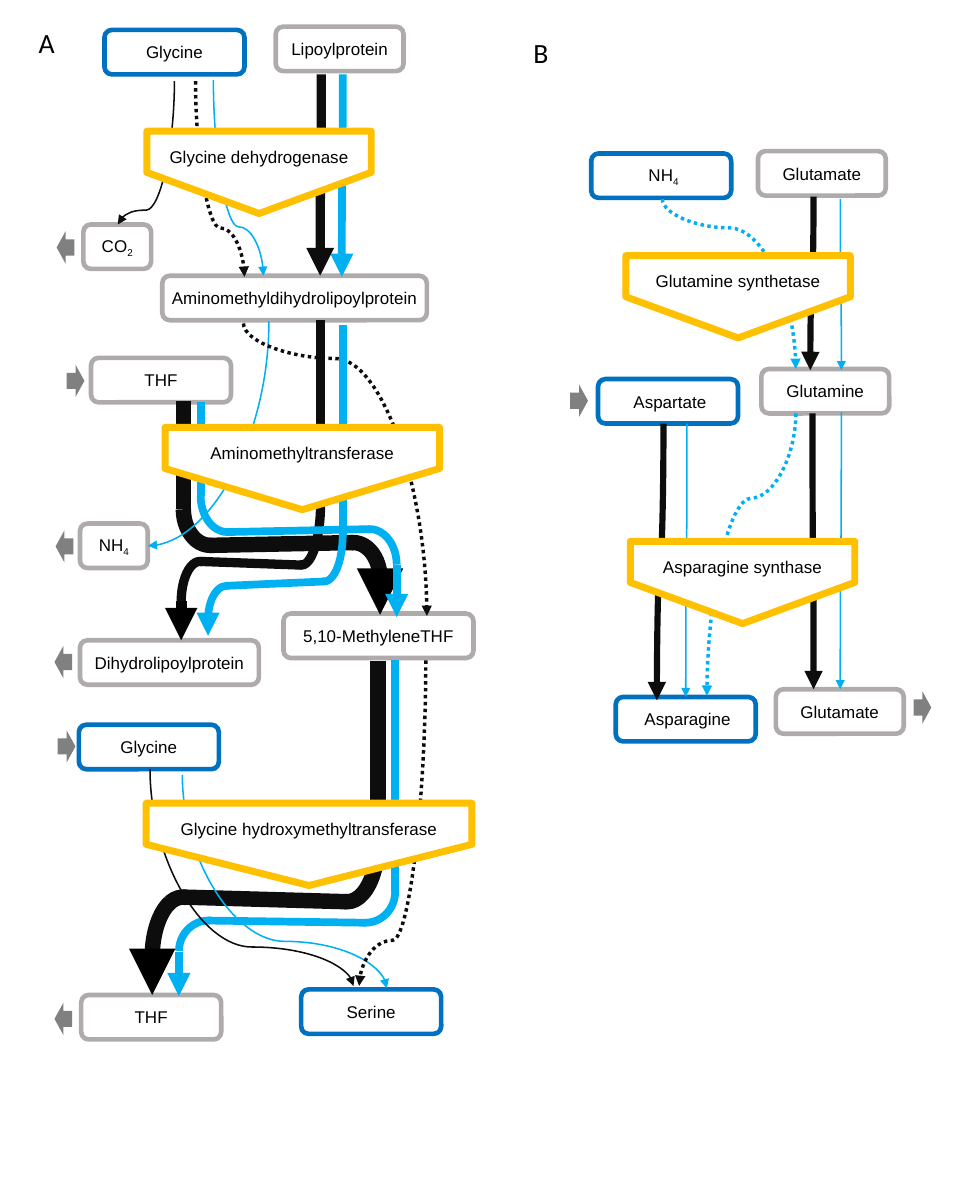
"""Draw the glycine cleavage (A) and asparagine synthesis (B) pathways."""
from lxml import etree
from pptx import Presentation
from pptx.dml.color import RGBColor
from pptx.enum.dml import MSO_LINE
from pptx.enum.shapes import MSO_CONNECTOR, MSO_SHAPE
from pptx.enum.text import MSO_ANCHOR, PP_ALIGN
from pptx.oxml.ns import qn
from pptx.util import Pt

STRAIGHT, CURVE = MSO_CONNECTOR.STRAIGHT, MSO_CONNECTOR.CURVE
ROUNDED, PLATE = MSO_SHAPE.ROUNDED_RECTANGLE, MSO_SHAPE.PENTAGON
BLOCK_ARROW, ARC = MSO_SHAPE.RIGHT_ARROW, MSO_SHAPE.ARC
DOTTED = MSO_LINE.ROUND_DOT
MIDDLE, TOP = MSO_ANCHOR.MIDDLE, MSO_ANCHOR.TOP
CENTER, LEFT = PP_ALIGN.CENTER, PP_ALIGN.LEFT

COLORS = {"white": "FFFFFF", "black": "000000", "ink": "0D0D0D", "cyan": "00B0F0",
          "blue": "0070C0", "silver": "AFABAB", "gold": "FFC000", "gray": "808080"}
BOX_HEIGHT, PLATE_HEIGHT = 28.8, 53.3
LOWER_LEFT, UPPER_RIGHT = (52.61, 108), (159.87, 215.16)


def write(frame, text, size=11, font="Arial", color="black", align=CENTER, anchor=TOP, inset=None):
    """Write text into a frame; what follows an underscore is a subscript."""
    frame.word_wrap = True
    frame.vertical_anchor = anchor
    if inset is not None:
        frame.margin_left = frame.margin_right = Pt(inset)
        frame.margin_top = frame.margin_bottom = Pt(inset)
    paragraph = frame.paragraphs[0]
    paragraph.alignment = align
    for level, part in enumerate(text.split("_")):
        run = paragraph.add_run()
        run.text = part
        run.font.size, run.font.name = Pt(size), font
        run.font.color.rgb = RGBColor.from_string(COLORS[color])
        if level:
            run.font._element.set("baseline", "-25000")


class Pathway:
    """Hold the slide and draw the parts of a metabolic pathway on it."""

    def __init__(self, slide):
        self.slide = slide

    def shape(self, kind, x, y, width, height, fill=None, line=None, weight=3.0):
        shape = self.slide.shapes.add_shape(kind, Pt(x), Pt(y), Pt(width), Pt(height))
        shape.shadow.inherit = False
        if fill:
            shape.fill.solid()
            shape.fill.fore_color.rgb = RGBColor.from_string(COLORS[fill])
        else:
            shape.fill.background()
        if line:
            shape.line.color.rgb = RGBColor.from_string(COLORS[line])
            shape.line.width = Pt(weight)
        else:
            shape.line.fill.background()
        return shape

    def label(self, text, x, y, width, height, **style):
        box = self.slide.shapes.add_textbox(Pt(x), Pt(y), Pt(width), Pt(height))
        write(box.text_frame, text, **style)

    def metabolite(self, text, x, y, width=90.7, line="silver"):
        box = self.shape(ROUNDED, x, y, width, BOX_HEIGHT, "white", line)
        write(box.text_frame, text, anchor=MIDDLE, inset=0)

    def enzyme(self, text, center, top, width):
        plate = self.shape(PLATE, center - PLATE_HEIGHT / 2, top + (PLATE_HEIGHT - width) / 2,
                           PLATE_HEIGHT, width, "white", "gold", 4.5)
        plate.rotation = 90
        self.label(text, center - width / 2, top + 6.3, width, 20.9)

    def exchange(self, x, y, rotation):
        self.shape(BLOCK_ARROW, x, y, 11.5, 20.9, "gray").rotation = rotation

    def connector(self, kind, x1, y1, x2, y2, color, weight, arrow=False, dotted=False):
        connector = self.slide.shapes.add_connector(kind, Pt(x1), Pt(y1), Pt(x2), Pt(y2))
        connector.line.color.rgb = RGBColor.from_string(COLORS[color])
        connector.line.width = Pt(weight)
        if dotted:
            connector.line.dash_style = DOTTED
        properties = connector._element.spPr
        if arrow:
            etree.SubElement(properties.find(qn("a:ln")), qn("a:tailEnd"), type="triangle")
        etree.SubElement(properties, qn("a:effectLst"))
        return properties

    def flow(self, x1, y1, x2, y2, color, weight, bend=0.5, dotted=False, sideways=False):
        """Draw a curved arrow that leaves downwards, and ends sideways on request."""
        rightward = x2 > x1
        half_run, half_rise = (y2 - y1) / 2, abs(x2 - x1) / 2
        if rightward:
            half_run = -half_run
        cx, cy = (x1 + x2) / 2, (y1 + y2) / 2
        properties = self.connector(CURVE, cx - half_run, cy - half_rise, cx + half_run,
                                    cy + half_rise, color, weight, True, dotted)
        properties.find(qn("a:xfrm")).set("rot", "16200000" if rightward else "5400000")
        geometry = properties.find(qn("a:prstGeom"))
        if sideways:
            geometry.set("prst", "curvedConnector2")
        else:
            etree.SubElement(geometry.find(qn("a:avLst")), qn("a:gd"), name="adj1",
                             fmla=f"val {round(bend * 100000)}")

    def elbow(self, x, y, width, height, angles, mirrored, color, weight):
        arc = self.shape(ARC, x, y, width, height, None, color, weight)
        arc.adjustments[0], arc.adjustments[1] = angles
        if mirrored:
            arc._element.spPr.find(qn("a:xfrm")).set("flipH", "1")

    def pipe(self, start, end, upper, lower, bend, color, weight, tip=None, lower_height=None):
        """Draw down, across and down again, with rounded corners and an arrowhead."""
        (x1, y1), (x2, y2), (width, height) = start, end, bend
        lower_height = lower_height or height
        leftward = x2 < x1
        half = -width / 2 if leftward else width / 2
        style = color, weight
        self.connector(STRAIGHT, x1, y1, x1, upper - height / 2, *style)
        self.elbow(x1 + half - width / 2, upper - height, width, height, LOWER_LEFT, leftward, *style)
        self.connector(STRAIGHT, x1 + half, upper, x2 - half, lower, *style)
        self.elbow(x2 - half - width / 2, lower, width, lower_height, UPPER_RIGHT, leftward, *style)
        self.connector(STRAIGHT, x2, lower + lower_height / 2, x2, y2, *(tip or style), arrow=True)


deck = Presentation()
deck.slide_width, deck.slide_height = Pt(626.4), Pt(779.76)
pathway = Pathway(deck.slides.add_slide(deck.slide_layouts[6]))

for letter, x, y in (("A", 18, 13), ("B", 338.4, 19.4)):
    pathway.label(letter, x, y, 22.3, 28.8, size=18, font="Calibri", align=LEFT)

for name, x, y, width in (
        ("Aminomethyldihydrolipoylprotein", 105.1, 178.6, 171.4),
        ("Lipoylprotein", 178.6, 17.3, 82.8), ("CO_2", 54, 145.4, 43.9),
        ("THF", 59, 231.8, 90.7), ("Dihydrolipoylprotein", 51.8, 414.7, 115.9),
        ("NH_4", 51.8, 339.1, 43.9), ("5,10-MethyleneTHF", 183.6, 397.4, 123.1),
        ("THF", 52.6, 644.4, 90.7), ("Glutamate", 491, 97.9, 82.8),
        ("Glutamine", 493.2, 239, 82.8), ("Glutamate", 502.6, 446.4, 82.8)):
    pathway.metabolite(name, x, y, width)

for name, x, y in (("Glycine", 67.7, 19.4), ("Glycine", 51.1, 469.4), ("Serine", 195.1, 640.8),
                   (" NH_4", 383, 99.4), (" Aspartate", 387.4, 245.5),
                   (" Asparagine", 398.9, 451.4)):
    pathway.metabolite(name, x, y, line="blue")

for x, y, rotation in ((36.7, 149.8, 180), (43.2, 236.2, 0), (36, 343.4, 180),
                       (35.3, 418.3, 180), (37.4, 473, 0), (35.3, 649.4, 180),
                       (369.4, 249.1, 0), (591.8, 447.8, 0)):
    pathway.exchange(x, y, rotation)

pathway.pipe((118.8, 260), (246.2, 398.2), 353.2, 351.4, (34.6, 46.8), "ink", 10, ("black", 10))
pathway.pipe((207.7, 207.4), (117.4, 414.7), 366, 363.6, (24.5, 80), "ink", 6, ("black", 7), 51.8)
pathway.pipe((130, 260.6), (257, 399.6), 344.6, 342.7, (34.6, 46.8), "cyan", 5)
pathway.pipe((244.8, 428.4), (98.6, 644.4), 584, 581, (39.6, 77.8), "ink", 10, ("black", 10))
pathway.pipe((256, 427.7), (115.9, 645.1), 597.6, 596.2, (38.2, 40.3), "cyan", 5)

for x1, y1, x2, y2, color, weight, bend in (
        (113, 52.6, 76.3, 145.4, "ink", 1, 0.9),
        (138.2, 51.8, 170.6, 178.6, "cyan", 1, 0.75),
        (222, 48.2, 221.4, 179.3, "cyan", 5, 0.5),
        (208.1, 48.2, 207.4, 178.6, "ink", 6, 0.5),
        (97.2, 498.2, 229, 638.6, "ink", 1, 0.82),
        (118.1, 501.8, 250.6, 640.1, "cyan", 1, 0.78),
        (527, 127.4, 524.9, 239.8, "ink", 4, 0.5),
        (544.3, 128.9, 545, 239.8, "cyan", 1, 0.5),
        (429.8, 274.3, 425.5, 453.6, "ink", 4, 0.5),
        (445, 274.3, 444.2, 451.4, "cyan", 1, 0.5),
        (526.3, 267.8, 527, 446.4, "ink", 4, 0.5),
        (545, 267.1, 544.3, 446.4, "cyan", 1, 0.5)):
    pathway.flow(x1, y1, x2, y2, color, weight, bend)
pathway.flow(174.2, 208.1, 95.8, 353.5, "cyan", 1, sideways=True)

for x1, y1, x2, y2, color, bend in (
        (126.7, 52.6, 158.4, 179.3, "ink", 0.75), (157.7, 209.5, 276.5, 398.9, "ink", 0.12),
        (275.8, 427.7, 232.6, 638.6, "ink", 0.86), (429.1, 128.9, 515.5, 239, "cyan", 0.17),
        (515.5, 267.8, 457.9, 450.7, "cyan", 0.3)):
    pathway.flow(x1, y1, x2, y2, color, 2.25, bend, dotted=True)

pathway.pipe((222, 210.2), (134.8, 411.8), 376.6, 379.4, (23.8, 60.5), "cyan", 5, lower_height=43.9)

for name, center, top, width in (
        ("Glycine dehydrogenase", 167.8, 85, 145.4),
        ("Aminomethyltransferase", 195.8, 276.8, 177.8),
        ("Glycine hydroxymethyltransferase", 200.2, 520.2, 211),
        ("Glutamine synthetase", 478.1, 165.6, 145.4),
        ("Asparagine synthase", 481, 350.6, 145.4)):
    pathway.enzyme(name, center, top, width)

deck.save("out.pptx")
